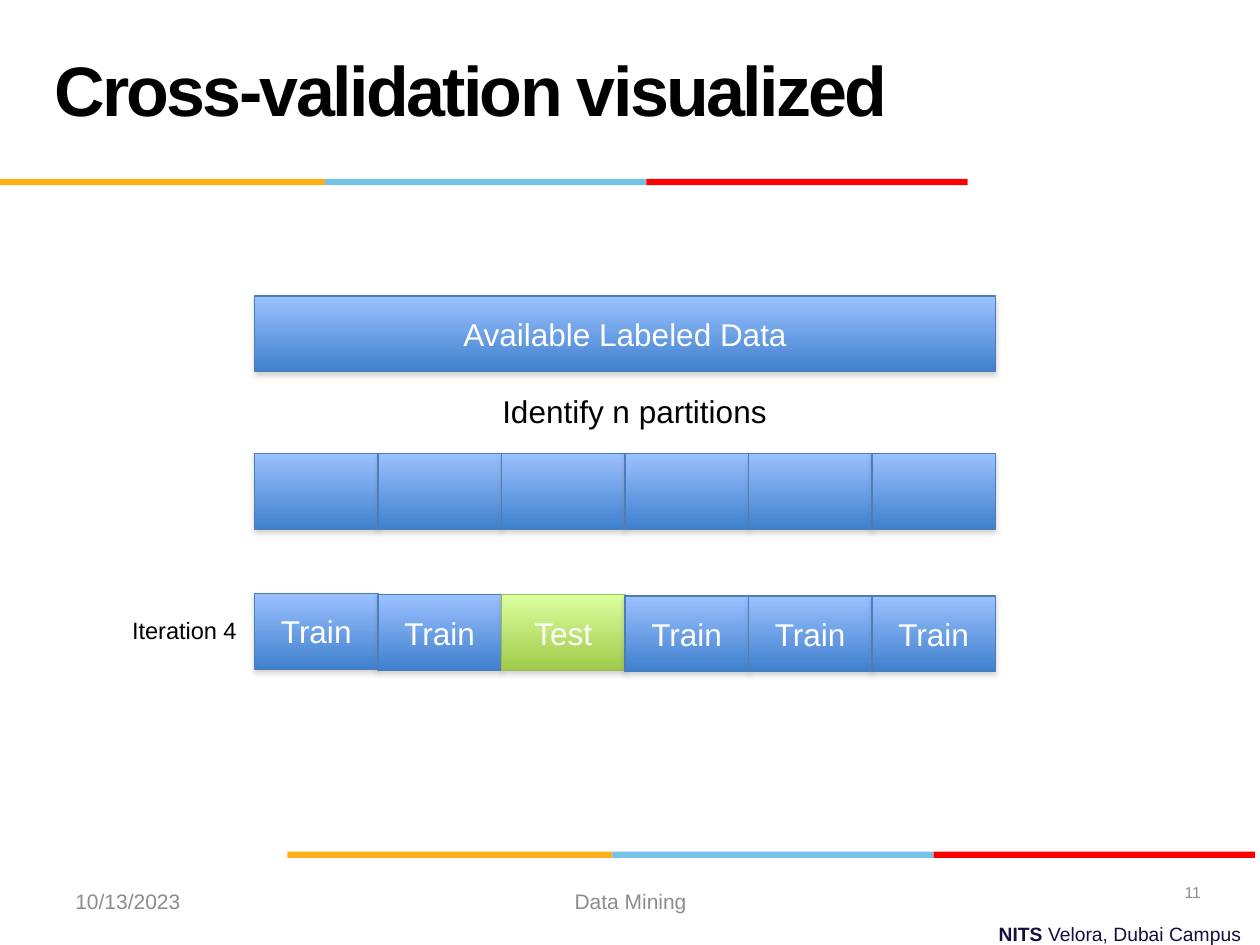
from dataclasses import dataclass

from lxml import etree
from pptx import Presentation
from pptx.dml.color import RGBColor
from pptx.enum.shapes import MSO_SHAPE
from pptx.enum.text import MSO_ANCHOR, PP_ALIGN
from pptx.oxml import parse_xml
from pptx.util import Inches, Pt

RECT = MSO_SHAPE.RECTANGLE
MIDDLE, TOP = MSO_ANCHOR.MIDDLE, MSO_ANCHOR.TOP
LEFT, CENTER, RIGHT = PP_ALIGN.LEFT, PP_ALIGN.CENTER, PP_ALIGN.RIGHT


@dataclass(frozen=True)
class Theme:
    font: str = "Arial"
    ink: str = "000000"
    white: str = "FFFFFF"
    gray: str = "8C8C8C"
    navy: str = "101141"
    stripes: tuple = ("FCB017", "76C2E5", "FF0000")
    blue: tuple = ("9BC1FF", "3F80CD", "4A7EBB")  # top, bottom, border
    green: tuple = ("DCFFA0", "A0CA4A", "98B954")
    title: float = 40
    body: float = 18
    label: float = 13.5
    foot: float = 12
    brand: float = 11
    page: float = 9


T = Theme()

# Content
TITLE = "Cross-validation visualized"
DATA = "Available Labeled Data"
FOLDS = ["Train", "Train", "Test", "Train", "Train", "Train"]
NUDGES = [0, 0.01, 0.01, 0.02, 0.02, 0.02]  # the folds step down slightly
BRAND = [("NITS ", True), ("Velora, Dubai Campus", False)]
# text, box, size, colour, alignment, anchor
LABELS = [
    ("Identify n partitions", (3.44, 3.06, 3.19, 0.4), T.body, T.ink, CENTER, TOP),
    ("Iteration 4", (0.95, 4.84, 1.04, 0.33), T.label, T.ink, LEFT, TOP),
    ("10/13/2023", (0.5, 6.95, 2.33, 0.4), T.foot, T.gray, LEFT, MIDDLE),
    ("Data Mining", (3.42, 6.95, 3.17, 0.4), T.foot, T.gray, CENTER, MIDDLE),
    ("11", (7.3, 6.88, 2.33, 0.4), T.page, T.gray, RIGHT, MIDDLE),
]

# Grid
GRID_X, CELL, HIGH = 2.02, 0.98, 0.6
DATA_Y, PART_Y, FOLD_Y = 2.35, 3.6, 4.71
STRIPE_WIDTHS, STRIPE_HIGH = (2.58, 2.55, 2.55), 0.05

SHADOW = """<a:effectLst
 xmlns:a="http://schemas.openxmlformats.org/drawingml/2006/main">
<a:outerShdw blurRad="40000" dist="23000" dir="5400000" rotWithShape="0">
<a:srgbClr val="808080"><a:alpha val="35000"/></a:srgbClr>
</a:outerShdw></a:effectLst>"""


def rgb(code):
    return RGBColor.from_string(code)


def style(para, size, color, align, bold=False):
    para.alignment = align
    for run in para.runs:
        font = run.font
        font.name, font.size, font.bold = T.font, Pt(size), bold
        font.color.rgb = rgb(color)


def add_text(slide, text, box, size, color, align, anchor):
    frame = slide.shapes.add_textbox(*map(Inches, box)).text_frame
    frame.word_wrap = True
    frame.vertical_anchor = anchor
    frame.text = text
    style(frame.paragraphs[0], size, color, align)
    return frame.paragraphs[0]


def add_bar(slide, x, y, width, text="", tones=T.blue):
    """Add a gradient bar with a soft shadow."""
    bar = slide.shapes.add_shape(RECT, *map(Inches, (x, y, width, HIGH)))
    bar.fill.gradient()
    bar.fill.gradient_angle = 270
    for stop, tone, place in zip(bar.fill.gradient_stops, tones, (0, 1)):
        stop.color.rgb, stop.position = rgb(tone), place
    bar.line.color.rgb = rgb(tones[2])
    bar.line.width = Pt(0.75)
    bar._element.spPr.append(parse_xml(SHADOW))
    if text:
        frame = bar.text_frame
        frame.text = text
        frame.vertical_anchor = MIDDLE
        style(frame.paragraphs[0], T.body, T.white, CENTER)


def add_stripes(slide, x, y):
    for color, width in zip(T.stripes, STRIPE_WIDTHS):
        box = map(Inches, (x, y, width, STRIPE_HIGH))
        band = slide.shapes.add_shape(RECT, *box)
        band.shadow.inherit = False
        band.fill.solid()
        band.fill.fore_color.rgb = rgb(color)
        band.line.fill.background()
        x += width


def add_title(slide):
    title = slide.shapes.title
    title.left, title.top, title.width, title.height = map(
        Inches, (0.33, 0.08, 9, 1.25))
    frame = title.text_frame
    frame.text = TITLE
    frame.vertical_anchor = MIDDLE
    para = frame.paragraphs[0]
    style(para, T.title, T.ink, LEFT, bold=True)
    para.runs[0].font._element.set("spc", "-150")


def add_brand(slide):
    para = add_text(slide, "", (3.53, 7.27, 6.42, 0.29),
                    T.brand, T.navy, RIGHT, TOP)
    for text, _ in BRAND:
        para.add_run().text = text
    style(para, T.brand, T.navy, RIGHT)
    for run, (_, bold) in zip(para.runs, BRAND):
        run.font.bold = bold


def main():
    deck = Presentation()
    deck.slide_width, deck.slide_height = Inches(10), Inches(7.5)
    slide = deck.slides.add_slide(deck.slide_layouts[5])
    add_title(slide)
    add_brand(slide)
    add_stripes(slide, 0, 1.42)
    add_stripes(slide, 2.28, 6.76)

    add_bar(slide, GRID_X, DATA_Y, CELL * len(FOLDS), DATA)
    for col in range(len(FOLDS)):
        add_bar(slide, GRID_X + col * CELL, PART_Y, CELL)
    for col, (fold, nudge) in enumerate(zip(FOLDS, NUDGES)):
        tones = T.green if fold == "Test" else T.blue
        add_bar(slide, GRID_X + col * CELL, FOLD_Y + nudge, CELL, fold, tones)
    for label in LABELS:
        add_text(slide, *label)
    deck.save("out.pptx")


if __name__ == "__main__":
    main()
